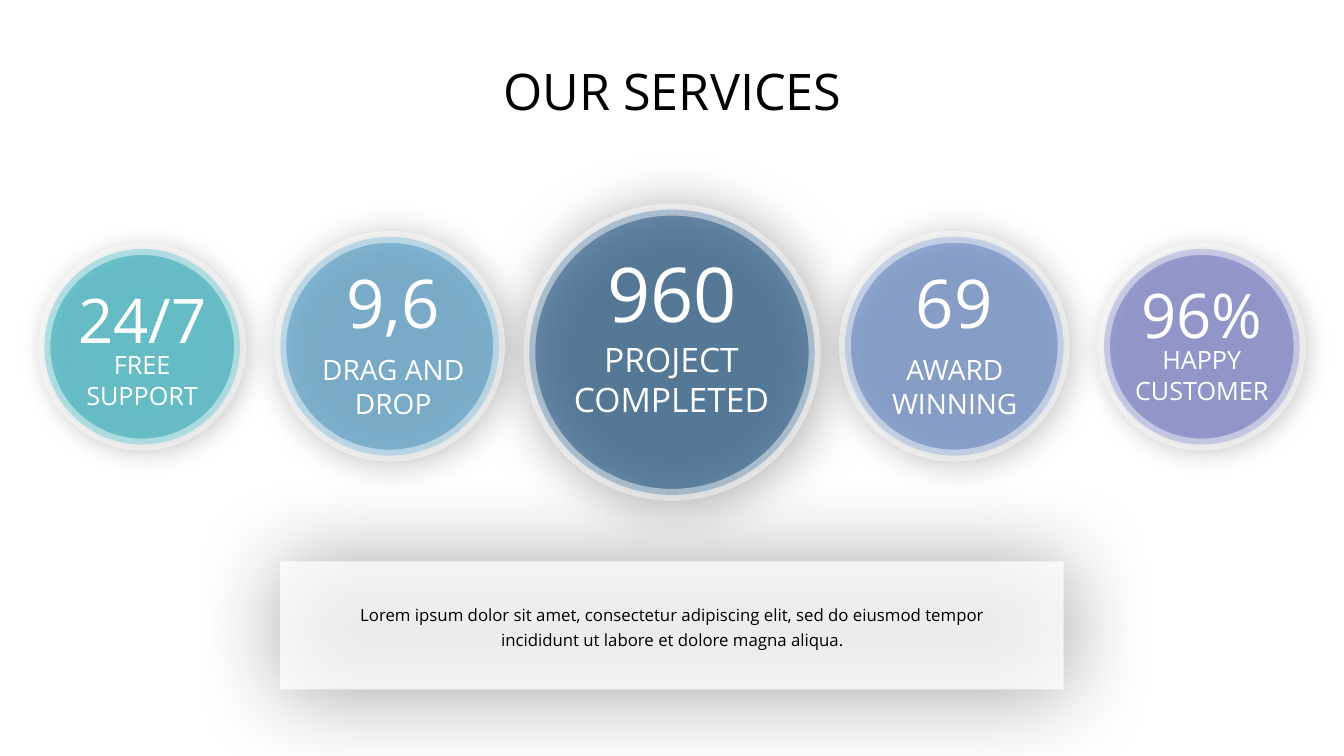
from lxml import etree
from pptx import Presentation
from pptx.dml.color import RGBColor
from pptx.enum import shapes, text
from pptx.oxml import ns
from pptx.util import Inches, Pt

FONT = "Open Sans"
COLORS = {
    "white": "FFFFFF", "black": "000000", "navy": "1C5688", "sky": "499DCC",
    "blue": "5E85CA", "teal": "22B1BF", "violet": "6B71C5",
}

# Badges: circle (left, top, size), colour, shadow (alpha, blur),
# figure (text, size, box) and caption (lines, size, box);
# the text boxes are relative to the circle
BADGES = [
    ((5.25, 2.08, 2.83), "navy", (54, 40),
     ("960", 54, (0.77, 0.37, 1.3, 0.91)),
     (["PROJECT", "COMPLETED"], 24, (0.42, 1.28, 1.98, 0.81))),
    ((2.78, 2.35, 2.17), "sky", (40, 26),
     ("9,6", 48, (0.64, 0.24, 0.96, 0.81)),
     (["DRAG AND DROP"], 20, (0.36, 1.15, 1.52, 0.67))),
    ((8.38, 2.35, 2.17), "blue", (40, 26),
     ("69", 48, (0.7, 0.24, 0.77, 0.81)),
     (["AWARD", "WINNING"], 20, (0.44, 1.15, 1.3, 0.67))),
    ((0.44, 2.47, 1.94), "teal", (32, 18),
     ("24/7", 44, (0.32, 0.33, 1.31, 0.74)),
     (["FREE", "SUPPORT"], 18, (0.4, 1.0, 1.14, 0.61))),
    ((10.95, 2.47, 1.94), "violet", (32, 18),
     ("96%", 44, (0.34, 0.28, 1.26, 0.74)),
     (["HAPPY", "CUSTOMER"], 18, (0.29, 0.95, 1.36, 0.61))),
]


def rgb(color):
    return RGBColor.from_string(COLORS[color])


def set_alpha(fill, percent):
    clr = fill._xPr.find(".//" + ns.qn("a:srgbClr"))
    etree.SubElement(clr, ns.qn("a:alpha")).set("val", str(percent * 1000))


def add_shadow(shape, percent, blur):
    shape.shadow.inherit = False
    effects = shape._element.spPr.find(ns.qn("a:effectLst"))
    shadow = etree.SubElement(
        effects, ns.qn("a:outerShdw"), blurRad=str(Pt(blur)), dist=str(Pt(3)),
        dir=str(45 * 60000), algn="ctr", rotWithShape="0")
    clr = etree.SubElement(shadow, ns.qn("a:srgbClr"), val=COLORS["black"])
    etree.SubElement(clr, ns.qn("a:alpha"), val=str(percent * 1000))


def add_panel(slide, kind, box, color, alpha, shadow):
    panel = slide.shapes.add_shape(kind, *map(Inches, box))
    panel.fill.solid()
    panel.fill.fore_color.rgb = rgb(color)
    set_alpha(panel.fill, alpha)
    add_shadow(panel, *shadow)
    return panel


def add_words(slide, box, lines, size, color, wrap=False, spacing=None):
    frame = slide.shapes.add_textbox(*map(Inches, box)).text_frame
    frame.margin_left = frame.margin_right = 0
    frame.margin_top = frame.margin_bottom = 0
    frame.word_wrap = wrap
    frame.auto_size = text.MSO_AUTO_SIZE.SHAPE_TO_FIT_TEXT
    frame.text = "\n".join(lines)
    for paragraph in frame.paragraphs:
        paragraph.alignment = text.PP_ALIGN.CENTER
        if spacing:
            paragraph.line_spacing = spacing
        for run in paragraph.runs:
            run.font.name = FONT
            run.font.size = Pt(size)
            run.font.color.rgb = rgb(color)


def add_circle(slide, circle, color, shadow):
    left, top, size = circle
    disc = add_panel(slide, shapes.MSO_SHAPE.OVAL, (left, top, size, size),
                     color, 60, shadow)
    disc.line.width = Pt(8.5)
    disc.line.color.rgb = rgb("white")
    set_alpha(disc.line.fill, 45)


def add_badge_text(slide, circle, figure, caption):
    left, top, _ = circle
    number, number_size, (x, y, w, h) = figure
    add_words(slide, (left + x, top + y, w, h), [number], number_size, "white")
    lines, caption_size, (x, y, w, h) = caption
    add_words(slide, (left + x, top + y, w, h), lines, caption_size, "white",
              wrap=len(lines) == 1)


def add_summary(slide, box):
    left, top, width, _ = box
    card = add_panel(slide, shapes.MSO_SHAPE.RECTANGLE, box, "white", 78, (48, 68))
    card.line.fill.background()
    add_words(slide, (left + 0.44, top + 0.38, width - 0.87, 0.5),
              ["Lorem ipsum dolor sit amet, consectetur adipiscing elit, sed do "
               "eiusmod tempor incididunt ut labore et dolore magna aliqua."],
              12, "black", wrap=True, spacing=1.25)


def main():
    prs = Presentation()
    prs.slide_width, prs.slide_height = Inches(13.33), Inches(7.5)
    slide = prs.slides.add_slide(prs.slide_layouts[6])

    # Title
    add_words(slide, (4.94, 0.6, 3.46, 0.61), ["OUR SERVICES"], 36, "black")

    # Circles first, so that no shadow falls on the text
    for circle, color, shadow, _, _ in BADGES:
        add_circle(slide, circle, color, shadow)
    for circle, _, _, figure, caption in BADGES:
        add_badge_text(slide, circle, figure, caption)

    # Summary card
    add_summary(slide, (2.78, 5.57, 7.77, 1.27))

    prs.save("out.pptx")


if __name__ == "__main__":
    main()
